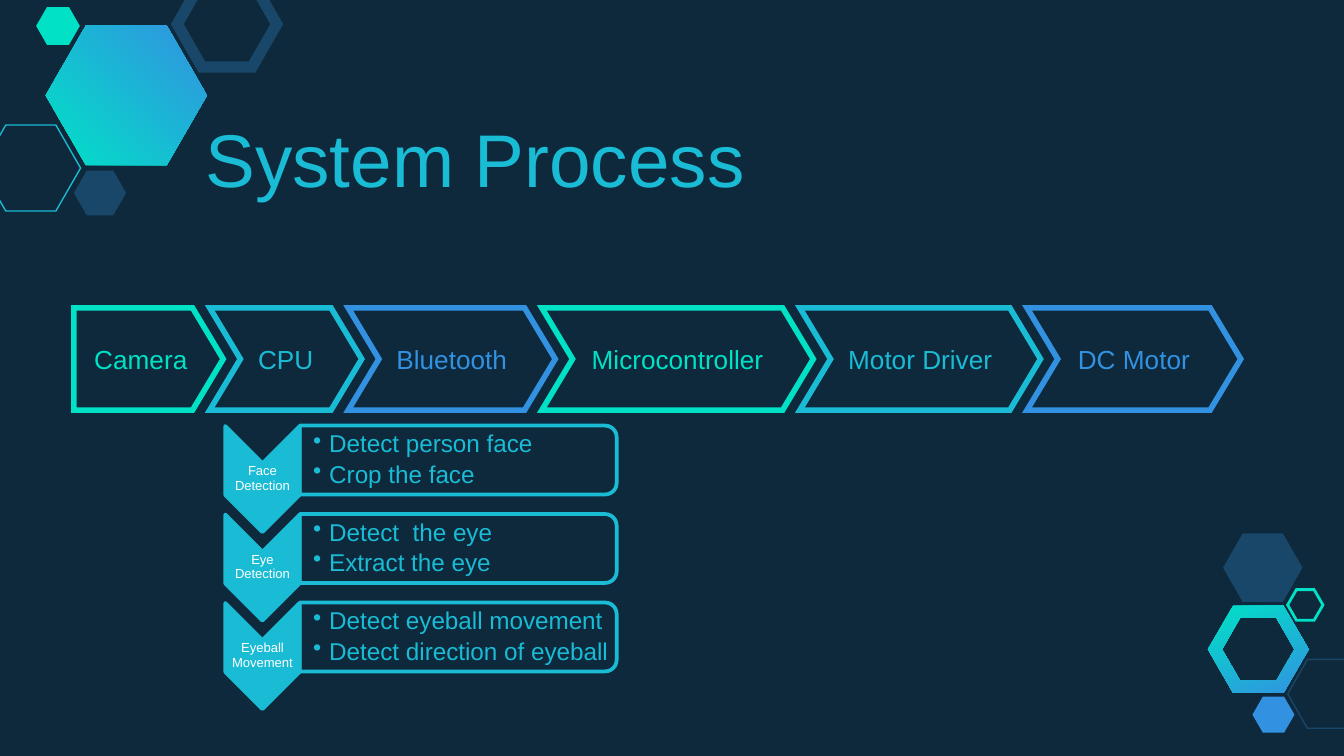
import math
import lxml.etree
import pptx
import pptx.dml.color
import pptx.enum.shapes
import pptx.enum.text
import pptx.oxml.ns
import pptx.util

Pt = pptx.util.Pt
Color = pptx.dml.color.RGBColor.from_string
Shape = pptx.enum.shapes.MSO_SHAPE
Align = pptx.enum.text.PP_ALIGN
Anchor = pptx.enum.text.MSO_ANCHOR
qn = pptx.oxml.ns.qn


class Theme:
    font = "Arial"
    background = "0E293C"
    navy = "184769"
    mint = "00E1C6"
    cyan = "19BBD5"
    blue = "3292E1"
    white = "FFFFFF"
    title_size = 40
    step_size = 14
    detail_size = 13
    label_size = 7


def paint(shape, fill=None, line=None, width=0, miter=False):
    shape.shadow.inherit = False
    if fill:
        shape.fill.solid()
        shape.fill.fore_color.rgb = Color(fill)
    else:
        shape.fill.background()
    if line:
        shape.line.color.rgb = Color(line)
        shape.line.width = Pt(width)
        if miter:
            outline = shape._element.spPr.find(qn("a:ln"))
            lxml.etree.SubElement(outline, qn("a:miter"), lim="800000")
    else:
        shape.line.fill.background()


def write(shape, lines, size, color, margins, align=Align.LEFT, anchor=Anchor.MIDDLE,
          spacing=None, after=None, bullets=False):
    frame = shape.text_frame
    frame.word_wrap = True
    frame.vertical_anchor = anchor
    frame.margin_left, frame.margin_top, frame.margin_right, frame.margin_bottom = map(Pt, margins)
    for index, line in enumerate(lines):
        para = frame.add_paragraph() if index else frame.paragraphs[0]
        para.text = line
        para.alignment = align
        if spacing:
            para.line_spacing = spacing
            para.space_after = Pt(after)
        if bullets:
            para.level = 1
            properties = para._p.get_or_add_pPr()
            properties.set("marL", str(Pt(8.6)))
            properties.set("indent", str(-Pt(8.6)))
            lxml.etree.SubElement(properties, qn("a:buChar"), char="•")
        para.font.name = Theme.font
        para.font.size = Pt(size)
        para.font.color.rgb = Color(color)


deck = pptx.Presentation()
deck.slide_width, deck.slide_height = Pt(720), Pt(405)
page = deck.slides.add_slide(deck.slide_layouts[6])
page.background.fill.solid()
page.background.fill.fore_color.rgb = Color(Theme.background)

contours = [
    [(Pt(674.1 + radius * math.cos(math.radians(angle))),
      Pt(347.9 + radius * math.sin(math.radians(angle)))) for angle in range(0, 360, 60)]
    for radius in (27, 19.4)
]
builder = page.shapes.build_freeform(*contours[0][0])
builder.add_line_segments(contours[0][1:], close=True)
builder.move_to(*contours[1][0])
builder.add_line_segments(contours[1][1:], close=True)
ring = builder.convert_to_shape()

large_hexagon = page.shapes.add_shape(Shape.HEXAGON, Pt(24.5), Pt(13.7), Pt(86.4), Pt(74.9))
large_hexagon.adjustments[0] = 0.288
for shape, angle in [(ring, 296), (large_hexagon, 45)]:
    paint(shape)
    shape.fill.gradient()
    shape.fill.gradient_angle = angle
    for stop, color in zip(shape.fill.gradient_stops, (Theme.mint, Theme.blue)):
        stop.color.rgb = Color(color)

hexagons = [
    (-10.1, 67, 53.3, 46.1, None, Theme.cyan, 0.75),
    (39.6, 91.4, 28, 24, Theme.navy, None, 0),
    (95, -10.1, 53.3, 46.1, None, Theme.navy, 6),
    (19.4, 3.8, 23.4, 20.2, Theme.mint, None, 0),
    (689.8, 353.3, 42.5, 36.9, None, Theme.navy, 0.75),
    (671, 373.2, 22.5, 19.4, Theme.blue, None, 0),
    (655.2, 285.8, 42.6, 36.7, Theme.navy, None, 0),
    (689.8, 315.9, 18.9, 16.4, None, Theme.mint, 1.5),
]
for left, top, width, height, fill, line, weight in hexagons:
    hexagon = page.shapes.add_shape(Shape.HEXAGON, Pt(left), Pt(top), Pt(width), Pt(height))
    hexagon.adjustments[0] = 0.287
    paint(hexagon, fill, line, weight, miter=True)

steps = [("Camera", 80), ("CPU", 81.4), ("Bluetooth", 110.9),
         ("Microcontroller", 145.4), ("Motor Driver", 128.9), ("DC Motor", 114.5)]
step_colors = [Theme.mint, Theme.cyan, Theme.blue]
left = 39.6
for index, (name, width) in enumerate(steps):
    kind = Shape.CHEVRON if index else Shape.PENTAGON
    color = step_colors[index % 3]
    step = page.shapes.add_shape(kind, Pt(left), Pt(165), Pt(width), Pt(54.7))
    step.adjustments[0] = 0.3
    paint(step, None, color, 3, miter=True)
    write(step, [name], Theme.step_size, color, [7.2] * 4, Align.CENTER)
    left += width - 7.2

title = page.shapes.add_textbox(Pt(103), Pt(49), Pt(389.5), Pt(51))
write(title, ["System Process"], Theme.title_size, Theme.cyan, (7.2, 11.4, 7.2, 7.2),
      anchor=Anchor.TOP)

stages = [
    ("Face Detection", ["Detect person face", "Crop the face"]),
    ("Eye Detection", ["Detect  the eye", "Extract the eye"]),
    ("Eyeball Movement", ["Detect eyeball movement", "Detect direction of eyeball"]),
]
for index, (name, details) in enumerate(stages):
    offset = index * 47.4
    arrow = page.shapes.add_shape(Shape.CHEVRON, Pt(112.2), Pt(236.8 + offset), Pt(56.8), Pt(39.8))
    arrow.rotation = 90
    paint(arrow, Theme.cyan, Theme.cyan, 2)
    label = page.shapes.add_textbox(Pt(120.8), Pt(247.9 + offset), Pt(39.6), Pt(17.2))
    write(label, [name], Theme.label_size, Theme.white, [0] * 4, Align.CENTER,
          spacing=0.9, after=2.4)
    panel = page.shapes.add_shape(Shape.ROUND_2_SAME_RECTANGLE,
                                  Pt(227), Pt(161.6 + offset), Pt(36.9), Pt(169.8))
    panel.rotation = 90
    paint(panel, None, Theme.cyan, 2)
    detail = page.shapes.add_textbox(Pt(160.7), Pt(229.8 + offset), Pt(168), Pt(33.3))
    write(detail, details, Theme.detail_size, Theme.cyan, (7.2, 0.7, 0.7, 0.7),
          spacing=0.9, after=2.2, bullets=True)

deck.save("out.pptx")
